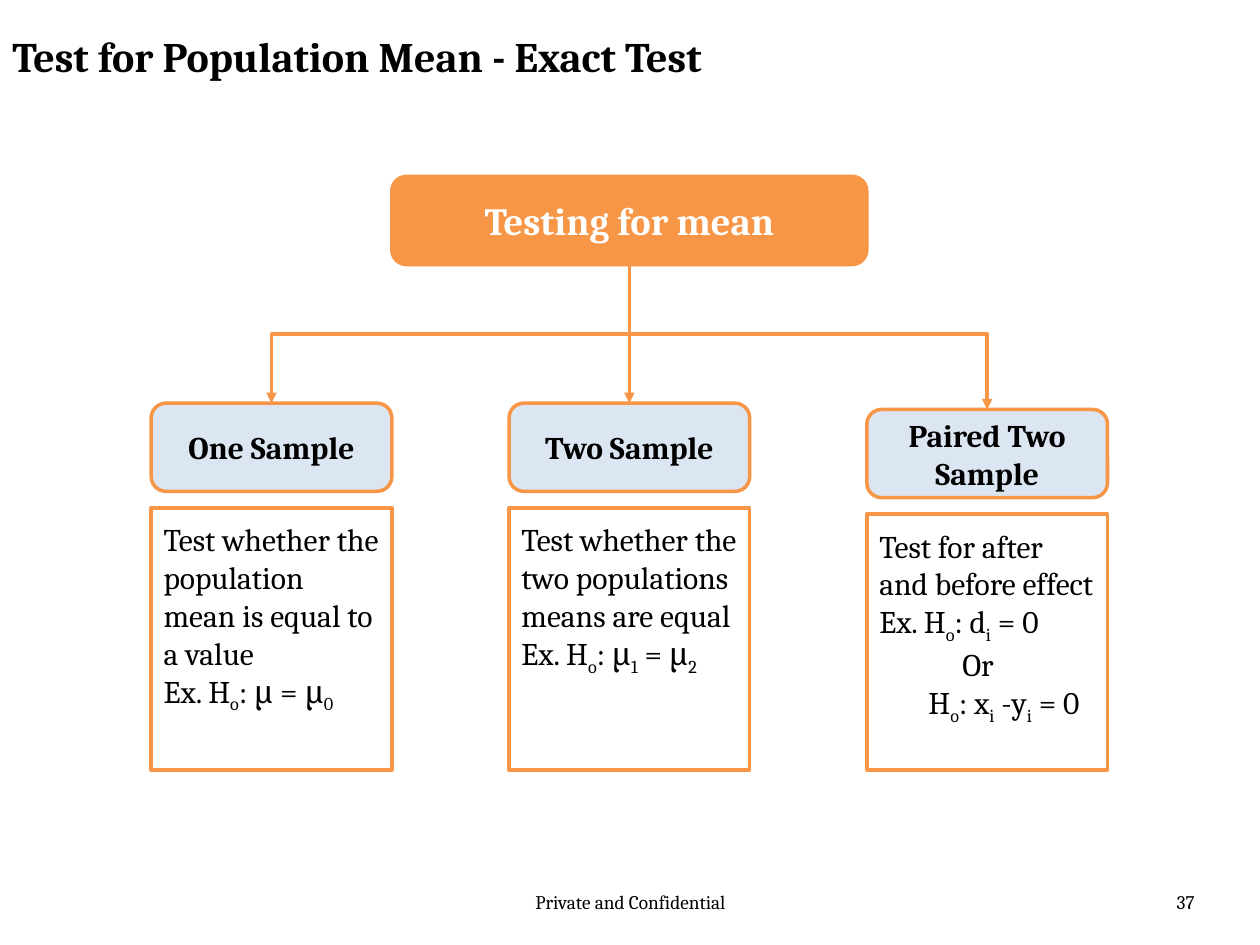
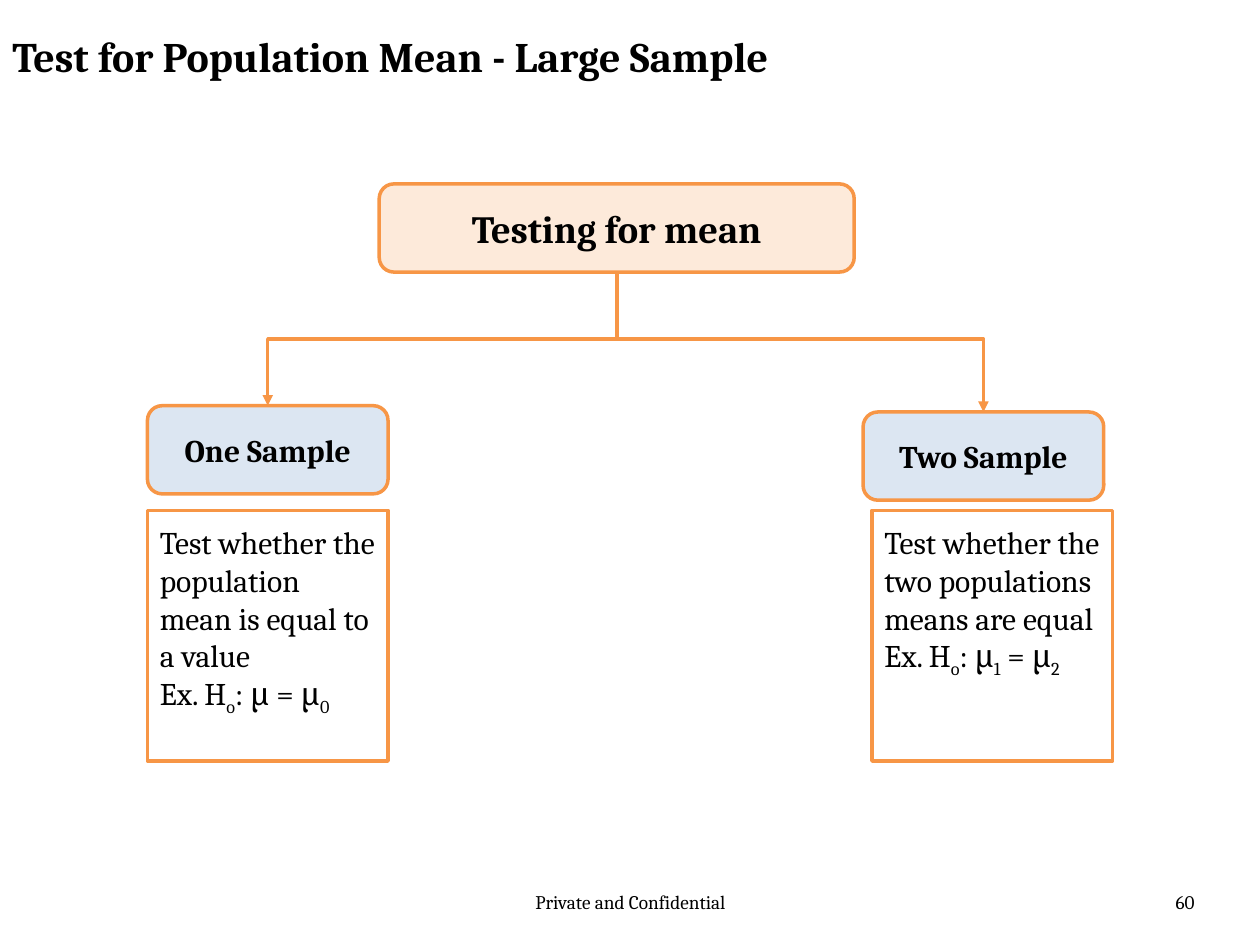
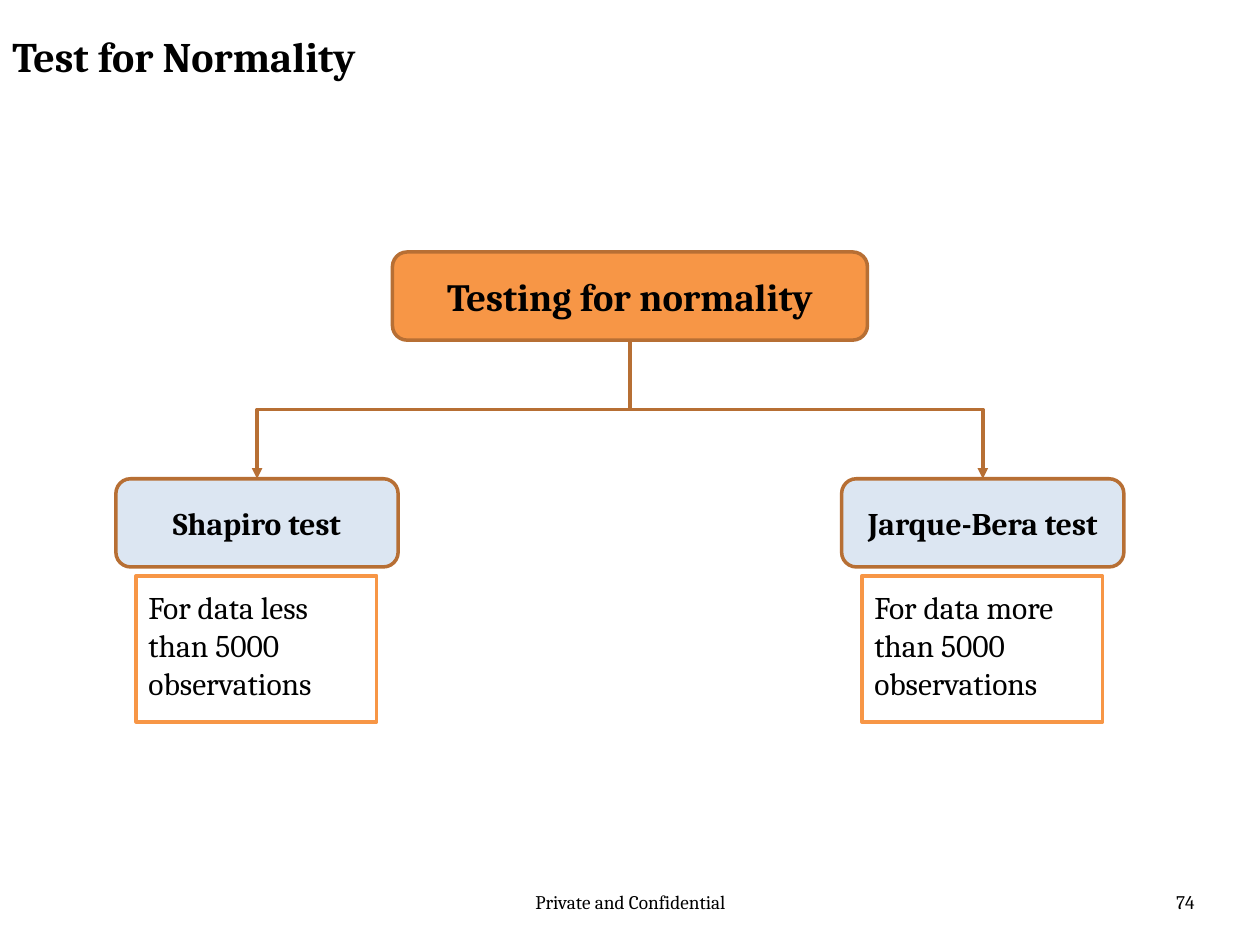
from dataclasses import dataclass
from lxml.etree import SubElement
from pptx import Presentation
from pptx.dml.color import RGBColor as Rgb
from pptx.enum.shapes import MSO_CONNECTOR as Link, MSO_SHAPE as Form
from pptx.enum.text import MSO_ANCHOR as Anchor, PP_ALIGN as Align
from pptx.oxml.ns import qn
from pptx.util import Inches, Pt


@dataclass(frozen=True)
class Theme:
    """Colours, type sizes and shared lengths."""
    font: str = "Cambria"
    black: str = "000000"
    white: str = "FFFFFF"
    orange: str = "F79646"
    brown: str = "B76F34"
    peach: str = "FDEADA"
    blue: str = "DCE6F2"
    title: int = 24
    root: int = 22
    text: int = 18
    foot: int = 11
    line: int = 2
    pad: float = 0.1
    high: float = 0.7
    wide: float = 3.77
    note: float = 1.91


@dataclass(frozen=True)
class Kid:
    """One branch: its head, its note and their offsets."""
    name: str
    lines: tuple
    drop: float = 1.8
    gap: float = 0.13
    shift: float = 0


@dataclass(frozen=True)
class Tree:
    """The root of a diagram, its look and its branches."""
    name: str
    kids: tuple
    fill: str
    ink: str
    edge: str
    head: float = 1.91
    shift: float = 0
    paper: str = ""


T = Theme()


def add_run(para, text, size, ink, bold, sub=False):
    """Add one styled run."""
    run = para.add_run()
    run.text = text
    font = run.font
    font.name, font.size, font.bold = T.font, Pt(size), bold
    font.color.rgb = Rgb.from_string(ink)
    if sub:
        run._r.get_or_add_rPr().set("baseline", "-25000")


def write(shape, lines, size, ink=T.black, bold=False, align=Align.LEFT,
          anchor=Anchor.TOP, pad=T.pad):
    """Write lines of (indent, text), where _ marks a one-letter subscript."""
    frame = shape.text_frame
    frame.word_wrap = True
    frame.vertical_anchor = anchor
    frame.margin_left = frame.margin_right = Inches(T.pad)
    frame.margin_top = frame.margin_bottom = Inches(pad)
    for num, (indent, text) in enumerate(lines):
        para = frame.add_paragraph() if num else frame.paragraphs[0]
        para.alignment = align
        if indent:
            para._p.get_or_add_pPr().set("marL", str(Inches(indent)))
        first, *rest = text.split("_")
        add_run(para, first, size, ink, bold)
        for part in rest:
            add_run(para, part[0], size, ink, bold, True)
            if part[1:]:
                add_run(para, part[1:], size, ink, bold)


def add_box(slide, form, box, fill, edge):
    """Add an outlined box, filled if a colour is given."""
    shape = slide.shapes.add_shape(form, *map(Inches, box))
    shape.shadow.inherit = False
    if fill:
        shape.fill.solid()
        shape.fill.fore_color.rgb = Rgb.from_string(fill)
    else:
        shape.fill.background()
    shape.line.color.rgb = Rgb.from_string(edge)
    shape.line.width = Pt(T.line)
    return shape


def add_head(slide, box, text, size, fill, edge, ink=T.black):
    """Add a rounded box with a bold centred caption."""
    shape = add_box(slide, Form.ROUNDED_RECTANGLE, box, fill, edge)
    write(shape, [(0, text)], size, ink, True, Align.CENTER, Anchor.MIDDLE)
    return shape


def add_link(slide, kind, start, end, edge):
    """Add an arrow without a shadow."""
    link = slide.shapes.add_connector(kind, *map(Inches, start + end))
    link.line.color.rgb = Rgb.from_string(edge)
    link.line.width = Pt(T.line)
    SubElement(link.line._get_or_add_ln(), qn("a:tailEnd"), type="triangle")
    SubElement(link._element.spPr, qn("a:effectLst"))
    return link


def turn(link, start, end):
    """Turn an elbow so that it leaves and arrives vertically."""
    (x, y), (far, low) = start, end
    wide, high = low - y, abs(far - x)
    link.left = Inches((x + far - wide) / 2)
    link.top = Inches((y + low - high) / 2)
    link.width, link.height = Inches(wide), Inches(high)
    frame = link._element.spPr.find(qn("a:xfrm"))
    for flip in ("flipH", "flipV"):
        frame.attrib.pop(flip, None)
    frame.set("rot", str((90 if far < x else 270) * 60000))
    if far > x:
        frame.set("flipH", "1")


def join(slide, root, head, start, end, trunk, even, edge):
    """Join the root to one head, from the trunk when tops are uneven."""
    if abs(start[0] - end[0]) < 0.01:
        link = add_link(slide, Link.STRAIGHT, start, end, edge)
        link.begin_connect(root, 2)
        link.end_connect(head, 0)
    elif even:
        link = add_link(slide, Link.ELBOW, start, end, edge)
        link.begin_connect(root, 2)
        link.end_connect(head, 0)
        turn(link, start, end)
    else:
        link = add_link(slide, Link.ELBOW, (start[0], trunk), end, edge)
        link.end_connect(head, 0)
        link._element.spPr.find(qn("a:prstGeom")).set("prst", "bentConnector2")


def draw_tree(slide, box, tree):
    """Draw the root, heads, notes and arrows inside a box."""
    left, top, wide, high = box
    mid = left + wide / 2 + tree.shift
    root = add_head(slide, (mid - T.wide / 2, top, T.wide, T.high),
                    tree.name, T.root, tree.fill, tree.edge, tree.ink)
    start = (mid, top + T.high)
    drop = tree.kids[0].drop
    trunk = top + (T.high + drop) / 2
    step = (wide - tree.head) / (len(tree.kids) - 1)
    for num, kid in enumerate(tree.kids):
        x, y = left + num * step, top + kid.drop
        head = add_head(slide, (x, y, tree.head, T.high), kid.name, T.text,
                        T.blue, tree.edge)
        low = y + T.high + kid.gap
        note = add_box(slide, Form.RECTANGLE,
                       (x + kid.shift, low, T.note, top + high - low),
                       tree.paper, T.orange)
        write(note, kid.lines, T.text)
        join(slide, root, head, start, (x + tree.head / 2, y), trunk,
             kid.drop == drop, tree.edge)


def add_label(slide, box, text, size, **style):
    """Add a plain line of text."""
    write(slide.shapes.add_textbox(*map(Inches, box)), [(0, text)], size, **style)


def add_page(deck, title, page, box, tree):
    """Add a slide with its title, footer and diagram."""
    slide = deck.slides.add_slide(deck.slide_layouts[6])
    add_label(slide, (3.42, 7.02, 3.17, 0.4), "Private and Confidential",
              T.foot, align=Align.CENTER, pad=0.05)
    add_label(slide, (7.25, 7.02, 2.33, 0.4), str(page), T.foot,
              align=Align.RIGHT, pad=0.05)
    add_label(slide, (0, 0.11, 6.76, 0.67), title, T.title, bold=True,
              anchor=Anchor.MIDDLE)
    draw_tree(slide, box, tree)


ONE = ((0, "Test whether the population mean is equal to a value"),
       (0, "Ex. H_o: μ = μ_0"))
TWO = ((0, "Test whether the two populations means are equal"),
       (0, "Ex. H_o: μ_1 = μ_2"))
PAIR = ((0, "Test for after and before effect"), (0, "Ex. H_o: d_i = 0"),
        (0.66, "Or"), (0.39, "H_o: x_i -y_i = 0"))
LESS, MORE = (((0, f"For data {word} than 5000 observations"),)
              for word in ("less", "more"))

EXACT = Tree("Testing for mean",
             (Kid("One Sample", ONE), Kid("Two Sample", TWO),
              Kid("Paired Two Sample", PAIR, drop=1.85)),
             T.orange, T.white, T.orange)
LARGE = Tree("Testing for mean",
             (Kid("One Sample", ONE, drop=1.76),
              Kid("Two Sample", TWO, drop=1.81, gap=0.08, shift=0.07)),
             T.peach, T.black, T.orange, shift=-0.07)
NORMAL = Tree("Testing for normality",
              (Kid("Shapiro test", LESS, gap=0.07, shift=0.16),
               Kid("Jarque-Bera test", MORE, gap=0.07, shift=0.16)),
              T.orange, T.black, T.brown, head=2.24, shift=0.08, paper=T.white)


def main():
    """Build and save the deck."""
    deck = Presentation()
    deck.slide_width, deck.slide_height = Inches(10), Inches(7.5)
    add_page(deck, "Test for Population Mean - Exact Test", 37,
             (1.2, 1.4, 7.59, 4.71), EXACT)
    add_page(deck, "Test for Population Mean - Large Sample", 60,
             (1.17, 1.46, 7.59, 4.58), LARGE)
    add_page(deck, "Test for Normality", 74, (0.92, 2, 8, 3.73), NORMAL)
    deck.save("out.pptx")


if __name__ == "__main__":
    main()
